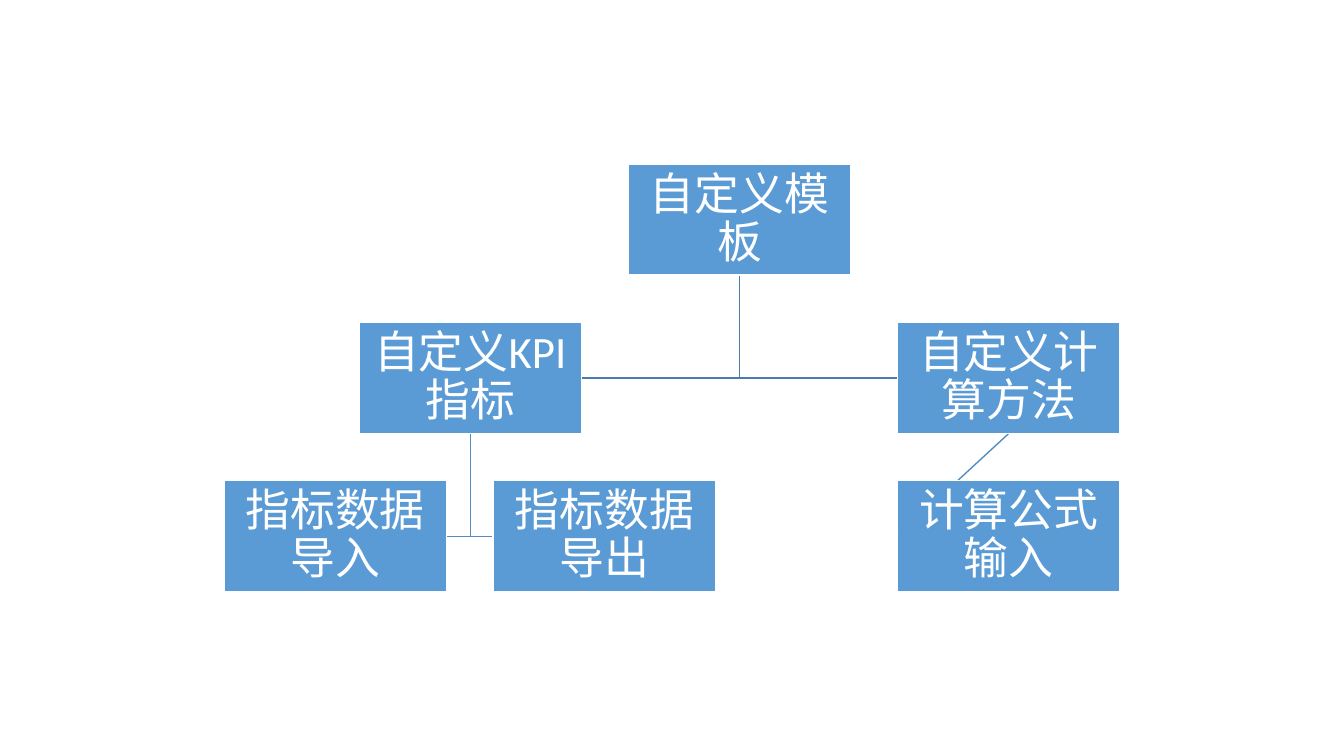
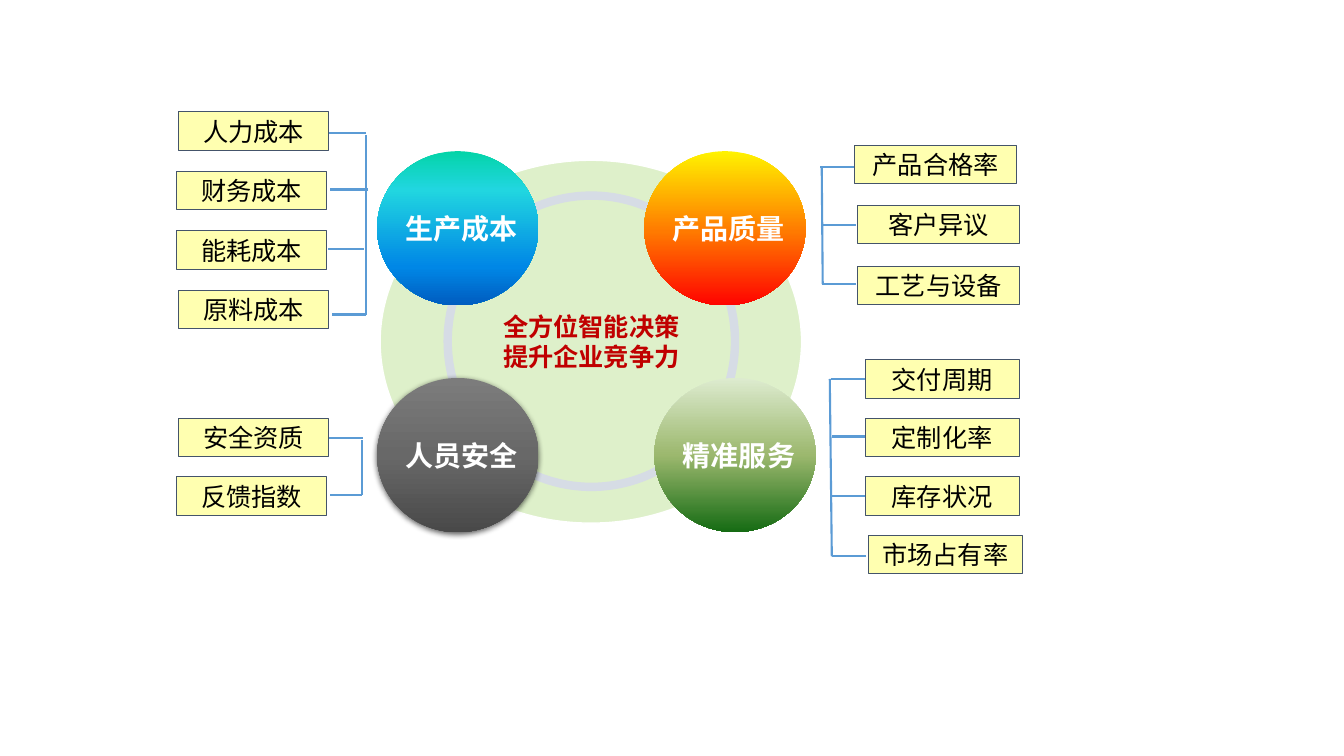
from dataclasses import dataclass

from lxml.etree import SubElement
from pptx import Presentation
from pptx.dml.color import RGBColor
from pptx.enum.shapes import MSO_CONNECTOR, MSO_SHAPE
from pptx.enum.text import MSO_ANCHOR, PP_ALIGN
from pptx.oxml.ns import qn
from pptx.util import Inches, Pt

WHITE = RGBColor(0xFF, 0xFF, 0xFF)
BLACK = RGBColor(0x00, 0x00, 0x00)
BLUE = RGBColor(0x5B, 0x9B, 0xD5)
UPPER_LINK = RGBColor(0x49, 0x7C, 0xAB)
LOWER_LINK = RGBColor(0x53, 0x8D, 0xC1)
GREEN = RGBColor(0x92, 0xD0, 0x50)
RING = RGBColor(0xD6, 0xDC, 0xE5)
RED = RGBColor(0xC0, 0x00, 0x00)
YELLOW = RGBColor(0xFF, 0xFF, 0x00)
SLATE = RGBColor(0x44, 0x54, 0x6A)
CJK_FONT = "Noto Sans CJK SC"

NODE_WIDTH, NODE_HEIGHT = 2.21, 1.1
CIRCLE_WIDTH, CIRCLE_HEIGHT = 1.6, 1.53
TAG_HEIGHT = 0.38


@dataclass(frozen=True)
class Node:
    text: str
    left: float
    top: float

    @property
    def bottom_center(self) -> tuple[float, float]:
        return self.left + NODE_WIDTH / 2, self.top + NODE_HEIGHT

    @property
    def middle(self) -> float:
        return self.top + NODE_HEIGHT / 2


@dataclass(frozen=True)
class Theme:
    text: str
    left: float
    top: float
    stops: tuple[tuple[int, str], ...]
    raised: bool = False


@dataclass(frozen=True)
class Tag:
    text: str
    left: float
    arm_start: float
    arm_end: float
    arm_y: float


@dataclass(frozen=True)
class Branch:
    top: float
    pitch: float
    tag_width: float
    spine: tuple[float, float, float, float]
    tags: tuple[Tag, ...]


ROOT = Node("自定义模板", 6.23, 1.63)
KPI = Node("自定义KPI指标", 3.56, 3.2)
METHOD = Node("自定义计算方法", 8.9, 3.2)
IMPORT = Node("指标数据导入", 2.22, 4.77)
EXPORT = Node("指标数据导出", 4.89, 4.77)
FORMULA = Node("计算公式输入", 8.9, 4.77)

THEMES = (
    Theme("生产成本", 3.74, 1.5, ((0, "03D4A8"), (25, "21D6E0"), (75, "0087E6"), (100, "005CBF"))),
    Theme("产品质量", 6.39, 1.5, ((0, "FFF200"), (52, "FF7A00"), (100, "FF0300"))),
    Theme("人员安全", 3.74, 3.75, ((0, "7C7C7C"), (50, "686868"), (100, "494949")), raised=True),
    Theme("精准服务", 6.49, 3.75, ((0, "DDEBCF"), (50, "9CB86E"), (100, "156B13"))),
)

BRANCHES = (
    Branch(4.15, 0.58, 1.49, (3.59, 4.37, 3.59, 4.91), (
        Tag("安全资质", 1.77, 3.6, 3.26, 4.35),
        Tag("反馈指数", 1.75, 3.59, 3.27, 4.91),
    )),
    Branch(3.57, 0.58, 1.53, (8.23, 3.76, 8.25, 5.52), (
        Tag("交付周期", 8.58, 8.58, 8.24, 3.76),
        Tag("定制化率", 8.58, 8.59, 8.25, 4.33),
        Tag("库存状况", 8.58, 8.59, 8.25, 4.92),
        Tag("市场占有率", 8.61, 8.59, 8.25, 5.52),
    )),
    Branch(1.11, 0.59, 1.49, (3.63, 1.34, 3.63, 3.13), (
        Tag("人力成本", 1.77, 3.63, 3.26, 1.32),
        Tag("财务成本", 1.75, 3.65, 3.27, 1.88),
        Tag("能耗成本", 1.75, 3.61, 3.25, 2.47),
        Tag("原料成本", 1.77, 3.63, 3.29, 3.12),
    )),
    Branch(1.44, 0.6, 1.6, (8.15, 1.66, 8.16, 2.82), (
        Tag("产品合格率", 8.48, 8.47, 8.13, 1.66),
        Tag("客户异议", 8.51, 8.49, 8.15, 2.23),
        Tag("工艺与设备", 8.51, 8.49, 8.15, 2.82),
    )),
)


def add_shape(page, kind, left: float, top: float, width: float, height: float,
              fill: RGBColor | None = None, opacity: int = 100,
              line: RGBColor | None = None, line_width: float = 1):
    shape = page.shapes.add_shape(kind, Inches(left), Inches(top), Inches(width), Inches(height))
    shape.shadow.inherit = False
    if fill is None:
        shape.fill.background()
    else:
        shape.fill.solid()
        shape.fill.fore_color.rgb = fill
        if opacity < 100:
            color = shape._element.spPr.find(qn("a:solidFill"))[0]
            SubElement(color, qn("a:alpha"), val=str(opacity * 1000))
    if line is None:
        shape.line.fill.background()
    else:
        shape.line.color.rgb = line
        shape.line.width = Pt(line_width)
    return shape


def write(shape, lines: tuple[str, ...], size: float, font: str, color: RGBColor,
          bold: bool = False, wrap: bool = True, spacing: float = 1.0,
          insets: tuple[float, float, float, float] = (0.1, 0.05, 0.1, 0.05)) -> None:
    frame = shape.text_frame
    frame.word_wrap = wrap
    frame.vertical_anchor = MSO_ANCHOR.MIDDLE
    frame.margin_left, frame.margin_top, frame.margin_right, frame.margin_bottom = map(Inches, insets)
    for index, text in enumerate(lines):
        para = frame.add_paragraph() if index else frame.paragraphs[0]
        para.alignment = PP_ALIGN.CENTER
        para.line_spacing = spacing
        span = para.add_run()
        span.text = text
        span.font.size = Pt(size)
        span.font.name = font
        span.font.bold = bold
        span.font.color.rgb = color
        SubElement(span.font._element, qn("a:ea"), typeface=CJK_FONT)


def add_link(page, points: list[tuple[float, float]], color: RGBColor) -> None:
    """Draw an open, unfilled line through the points."""
    start, *others = [(Inches(x), Inches(y)) for x, y in points]
    builder = page.shapes.build_freeform(*start)
    builder.add_line_segments(others, close=False)
    link = builder.convert_to_shape()
    link.shadow.inherit = False
    link.fill.background()
    link.line.color.rgb = color
    link.line.width = Pt(1)


def add_elbow(page, parent: Node, child: Node, color: RGBColor) -> None:
    x, y = parent.bottom_center
    side = child.left if child.left > x else child.left + NODE_WIDTH
    add_link(page, [(x, y), (x, child.middle), (side, child.middle)], color)


def add_line(page, x1: float, y1: float, x2: float, y2: float) -> None:
    line = page.shapes.add_connector(
        MSO_CONNECTOR.STRAIGHT, Inches(x1), Inches(y1), Inches(x2), Inches(y2))
    line.line.color.rgb = BLUE
    line.line.width = Pt(1.5)
    SubElement(line._element.spPr, qn("a:effectLst"))


def add_node(page, node: Node) -> None:
    box = add_shape(page, MSO_SHAPE.RECTANGLE, node.left, node.top,
                    NODE_WIDTH, NODE_HEIGHT, BLUE, line=WHITE)
    write(box, (node.text,), 32, "Calibri", WHITE, spacing=0.9, insets=(0.02,) * 4)


def set_gradient(shape, stops: tuple[tuple[int, str], ...]) -> None:
    """Fill from top to bottom; stops are percentages with hex colours."""
    shape.fill.gradient()
    shape.fill.gradient_angle = 270
    stop_list = shape._element.spPr.find(qn("a:gradFill")).find(qn("a:gsLst"))
    stop_list.clear()
    for percent, color in stops:
        stop = SubElement(stop_list, qn("a:gs"), pos=str(percent * 1000))
        SubElement(stop, qn("a:srgbClr"), val=color)


def add_shadow(shape) -> None:
    effects = shape._element.spPr.find(qn("a:effectLst"))
    shadow = SubElement(effects, qn("a:outerShdw"), blurRad=str(Pt(4.5)), dist=str(Pt(1.5)),
                        dir="5400000", algn="ctr", rotWithShape="0")
    color = SubElement(shadow, qn("a:srgbClr"), val=str(BLACK))
    SubElement(color, qn("a:alpha"), val="63000")


def add_theme(page, theme: Theme) -> None:
    circle = add_shape(page, MSO_SHAPE.OVAL, theme.left, theme.top, CIRCLE_WIDTH, CIRCLE_HEIGHT)
    set_gradient(circle, theme.stops)
    if theme.raised:
        add_shadow(circle)
    write(circle, (theme.text,), 20, CJK_FONT, WHITE, bold=True, wrap=False, insets=(0.08, 0, 0, 0))


def add_branch(page, branch: Branch) -> None:
    add_line(page, *branch.spine)
    for index, tag in enumerate(branch.tags):
        add_line(page, tag.arm_start, tag.arm_y, tag.arm_end, tag.arm_y)
        box = add_shape(page, MSO_SHAPE.RECTANGLE, tag.left, branch.top + index * branch.pitch,
                        branch.tag_width, TAG_HEIGHT, YELLOW, 31, SLATE, 0.75)
        write(box, (tag.text,), 18, "Arial", BLACK, wrap=False)


def build_template_tree(page) -> None:
    add_link(page, [METHOD.bottom_center, (FORMULA.left, FORMULA.middle)], LOWER_LINK)
    for parent, child, color in ((ROOT, METHOD, UPPER_LINK), (KPI, EXPORT, LOWER_LINK),
                                 (KPI, IMPORT, LOWER_LINK), (ROOT, KPI, UPPER_LINK)):
        add_elbow(page, parent, child, color)
    for node in (ROOT, KPI, IMPORT, EXPORT, METHOD, FORMULA):
        add_node(page, node)


def build_decision_map(page) -> None:
    add_shape(page, MSO_SHAPE.FLOWCHART_CONNECTOR, 3.77, 1.59, 4.18, 3.6, GREEN, 30, WHITE)
    ring = add_shape(page, MSO_SHAPE.OVAL, 4.44, 1.94, 2.85, 2.89, line=RING, line_width=6)
    write(ring, ("全方位智能决策", "提升企业竞争力"), 18, CJK_FONT, RED, bold=True)
    for theme in THEMES:
        add_theme(page, theme)
    for branch in BRANCHES:
        add_branch(page, branch)


def main() -> None:
    deck = Presentation()
    deck.slide_width, deck.slide_height = Inches(13.33), Inches(7.5)
    blank = deck.slide_layouts[6]
    for build in (build_template_tree, build_decision_map):
        build(deck.slides.add_slide(blank))
    deck.save("out.pptx")


if __name__ == "__main__":
    main()
